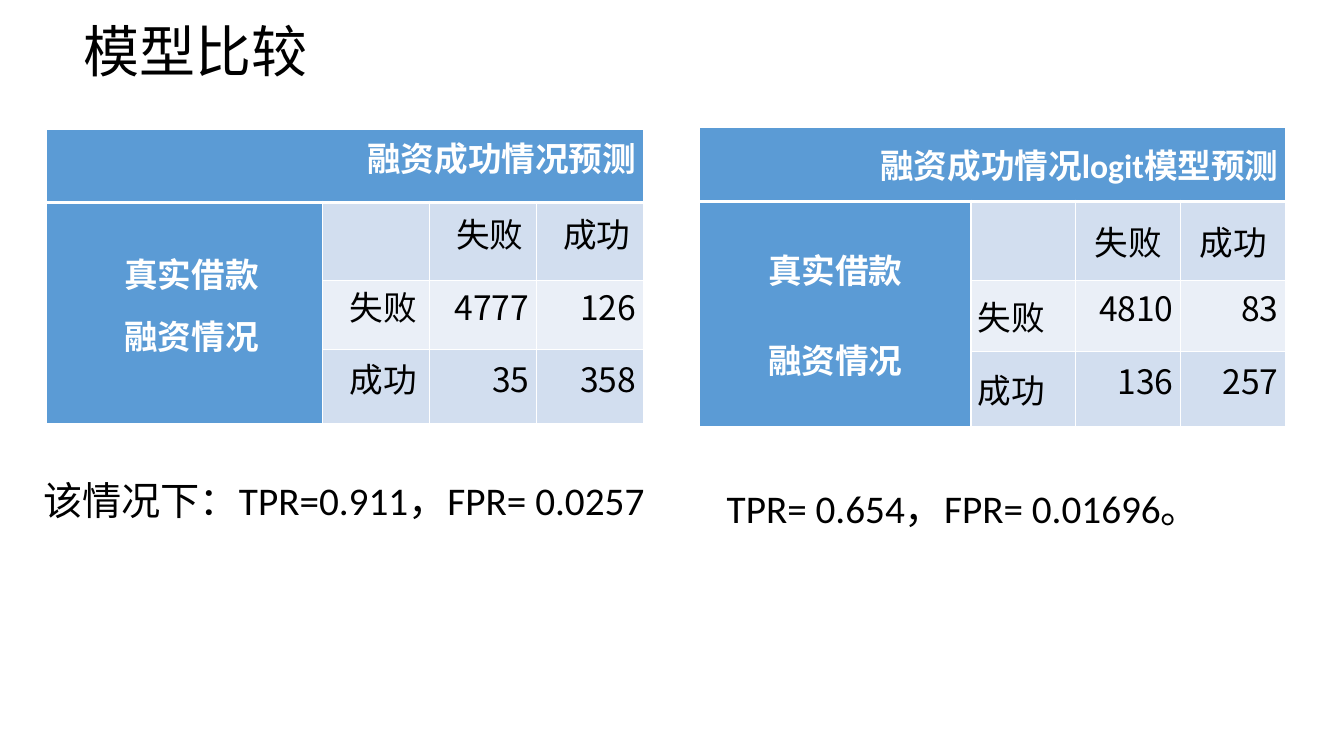
from lxml import etree
from pptx import Presentation
from pptx.dml.color import RGBColor
from pptx.enum import text
from pptx.oxml.ns import qn
from pptx.util import Inches, Pt

COLORS = {"header": "5B9BD5", "band": "D2DEEF", "light": "EAEFF7",
          "white": "FFFFFF", "black": "000000"}
CJK = "Noto Sans CJK SC"
LEFT, CENTER, RIGHT = text.PP_ALIGN.LEFT, text.PP_ALIGN.CENTER, text.PP_ALIGN.RIGHT


def style_paragraph(paragraph, size, align, color="black", bold=False,
                    font="Calibri", indent=0, line_spacing=None):
    paragraph.alignment = align
    paragraph.line_spacing = line_spacing
    paragraph.font.size = Pt(size)
    paragraph.font.bold = bold
    paragraph.font.name = font
    paragraph.font.color.rgb = RGBColor.from_string(COLORS[color])
    properties = paragraph._p.get_or_add_pPr()
    properties.set("indent", str(Inches(indent)))
    east_asian = etree.SubElement(properties.find(qn("a:defRPr")), qn("a:ea"))
    east_asian.set("typeface", CJK)


def style_cell(cell, fill, bottom_width):
    cell.vertical_anchor = text.MSO_ANCHOR.MIDDLE
    cell.margin_left = cell.margin_right = Inches(0.07)
    cell.margin_top = cell.margin_bottom = 0
    cell.fill.solid()
    cell.fill.fore_color.rgb = RGBColor.from_string(COLORS[fill])
    properties = cell._tc.get_or_add_tcPr()
    widths = {"a:lnL": 1, "a:lnR": 1, "a:lnT": 1, "a:lnB": bottom_width}
    for position, (tag, width) in enumerate(widths.items()):
        border = etree.Element(qn(tag), w=str(Pt(width)))
        solid = etree.SubElement(border, qn("a:solidFill"))
        etree.SubElement(solid, qn("a:srgbClr"), val=COLORS["white"])
        properties.insert(position, border)


presentation = Presentation()
presentation.slide_width = Inches(13.33)
presentation.slide_height = Inches(7.5)
slide = presentation.slides.add_slide(presentation.slide_layouts[5])

title = slide.shapes.title
title.left, title.top = Inches(0.73), Inches(-0.19)
title.width, title.height = Inches(11.5), Inches(1.45)
title.text_frame.text = "模型比较"
title.text_frame.vertical_anchor = text.MSO_ANCHOR.MIDDLE
style_paragraph(title.text_frame.paragraphs[0], 40, LEFT, font=CJK, line_spacing=0.9)

exact = {"indent": 0.14, "line_spacing": Pt(22)}
matrices = [
    {"left": 0.46, "top": 1.28, "columns": [2.74, 1.06, 1.06, 1.06],
     "rows": [0.73, 0.77, 0.69, 0.73], "heading": "融资成功情况预测",
     "counts": [["4777", "126"], ["35", "358"]],
     "label_format": exact, "row_align": CENTER, "label_gap": 22},
    {"left": 6.94, "top": 1.26, "columns": [2.69, 1.04, 1.04, 1.04],
     "rows": [0.74, 0.78, 0.71, 0.74], "heading": "融资成功情况logit模型预测",
     "counts": [["4810", "83"], ["136", "257"]],
     "label_format": {}, "row_align": LEFT, "label_gap": 29},
]
outcomes = ["失败", "成功"]

for matrix in matrices:
    columns, rows = matrix["columns"], matrix["rows"]
    table = slide.shapes.add_table(
        4, 4, Inches(matrix["left"]), Inches(matrix["top"]),
        Inches(sum(columns)), Inches(sum(rows))).table
    for column, width in zip(table.columns, columns):
        column.width = Inches(width)
    for row, height in zip(table.rows, rows):
        row.height = Inches(height)
    table.cell(0, 0).merge(table.cell(0, 3))
    table.cell(1, 0).merge(table.cell(3, 0))

    grid = [[matrix["heading"], "", "", ""],
            ["真实借款\n融资情况", ""] + outcomes]
    grid += [["", outcome] + counts for outcome, counts in zip(outcomes, matrix["counts"])]
    for row, values in enumerate(grid):
        for column, value in enumerate(values):
            cell = table.cell(row, column)
            is_header = row == 0 or column == 0
            is_count = row > 1 and column > 1
            fill = "header" if is_header else "light" if row == 2 else "band"
            style_cell(cell, fill, 3 if row == 0 else 1)
            if not value:
                continue
            cell.text = value
            if row == 0 or is_count:
                align = RIGHT
            else:
                align = matrix["row_align"] if column == 1 else CENTER
            for paragraph in cell.text_frame.paragraphs:
                style_paragraph(paragraph, 24, align,
                                color="white" if is_header else "black",
                                bold=is_header, font=CJK if is_count else "Calibri",
                                **(exact if is_count else matrix["label_format"]))
    table.cell(1, 0).text_frame.paragraphs[1].space_before = Pt(matrix["label_gap"])

rates = [
    (0, 4.68, 6.58, "该情况下：TPR=0.911，FPR= 0.0257"),
    (6.78, 4.76, 5.3, "TPR= 0.654，FPR= 0.01696。"),
]
for left, top, width, sentence in rates:
    box = slide.shapes.add_textbox(Inches(left), Inches(top), Inches(width), Inches(0.57))
    box.text_frame.word_wrap = True
    box.text_frame.text = sentence
    style_paragraph(box.text_frame.paragraphs[0], 28, text.PP_ALIGN.JUSTIFY, indent=0.33)

presentation.save("out.pptx")
